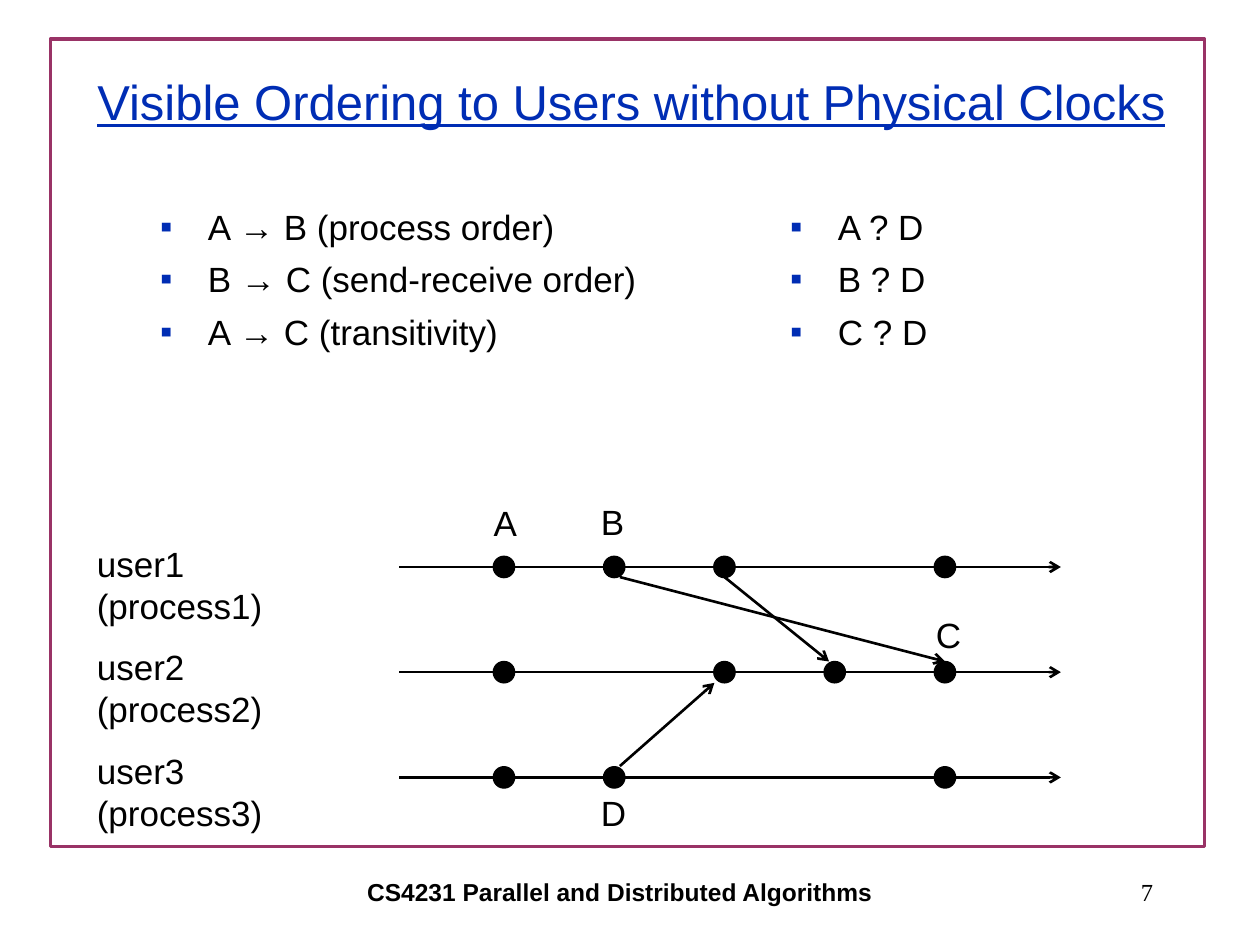
"""Build the slide on visible event ordering between three processes."""
from lxml.etree import SubElement
from pptx import Presentation
from pptx.dml.color import RGBColor
from pptx.enum.shapes import MSO_CONNECTOR, MSO_SHAPE
from pptx.enum.text import MSO_ANCHOR, MSO_AUTO_SIZE, PP_ALIGN
from pptx.oxml.ns import qn
from pptx.util import Inches, Pt

BLACK, BLUE, PLUM = "000000", "002DB4", "993366"
TITLE = "Visible Ordering to Users without Physical Clocks"
LISTS = [
    ((1.17, 1.58, 4.17, 1.42),
     ["A → B (process order)", "B → C (send-receive order)", "A → C (transitivity)"]),
    ((6.17, 1.58, 3.17, 1.42), ["A ? D", "B ? D", "C ? D"]),
]
PROCESSES = [
    ("user1\v(process1)", 4.26, [0, 1, 2, 4]),
    ("user2\v(process2)", 5.07, [0, 2, 3, 4]),
    ("user3\v(process3)", 5.9, [0, 1, 4]),
]
MESSAGES = [
    ((4.92, 4.58), (7.5, 5.25)),
    ((5.75, 4.58), (6.58, 5.25)),
    ((4.92, 6.08), (5.67, 5.42)),
]
EVENT_LABELS = [("A", 3.82, 3.93), ("B", 4.67, 3.92), ("C", 7.33, 4.82), ("D", 4.67, 6.23)]
FIRST_EVENT, EVENT_STEP = 4.0, 0.875
FIRST_ROW, ROW_STEP = 4.5, 0.835
TIME_START, TIME_END = 3.17, 8.42
DOT = 0.17


def color(value):
    return RGBColor.from_string(value)


def place(shape, box):
    shape.left, shape.top, shape.width, shape.height = map(Inches, box)


def write(shape, lines, size=20, font="Arial", fill=BLACK, align=PP_ALIGN.LEFT,
          anchor=MSO_ANCHOR.TOP, wrap=True, spaced=True, bullet=False, **style):
    frame = shape.text_frame
    frame.text = "\n".join(lines)
    frame.word_wrap, frame.vertical_anchor = wrap, anchor
    frame.auto_size = MSO_AUTO_SIZE.NONE
    for paragraph in frame.paragraphs:
        paragraph.alignment = align
        properties = paragraph._p.get_or_add_pPr()
        if spaced:
            spacing = SubElement(properties, qn("a:spcBef"))
            SubElement(spacing, qn("a:spcPct"), val="30000")
        if bullet:
            properties.set("marL", str(Inches(0.38)))
            properties.set("indent", str(Inches(-0.38)))
            bullet_color = SubElement(properties, qn("a:buClr"))
            SubElement(bullet_color, qn("a:srgbClr"), val=BLUE)
            SubElement(properties, qn("a:buFont"), typeface="Arial")
            SubElement(properties, qn("a:buChar"), char="▪")
        for run in paragraph.runs:
            run.font.size, run.font.name = Pt(size), font
            run.font.color.rgb = color(fill)
            for name, value in style.items():
                setattr(run.font, name, value)


def add_text(slide, box, text, **options):
    write(slide.shapes.add_textbox(*map(Inches, box)), [text], **options)


def add_arrow(slide, start, end):
    arrow = slide.shapes.add_connector(MSO_CONNECTOR.STRAIGHT, *map(Inches, (*start, *end)))
    arrow.line.color.rgb, arrow.line.width = color(BLACK), Pt(1.5)
    SubElement(arrow.line._get_or_add_ln(), qn("a:tailEnd"), type="arrow")
    SubElement(arrow._element.spPr, qn("a:effectLst"))


def add_shape(slide, kind, box, line, width, fill=None):
    shape = slide.shapes.add_shape(kind, *map(Inches, box))
    shape.shadow.inherit = False
    shape.line.color.rgb, shape.line.width = color(line), Pt(width)
    if fill:
        shape.fill.solid()
        shape.fill.fore_color.rgb = color(fill)
    else:
        shape.fill.background()


presentation = Presentation()
presentation.slide_width, presentation.slide_height = Inches(10), Inches(7.5)
slide = presentation.slides.add_slide(presentation.slide_layouts[3])
title, *bodies = slide.placeholders

place(title, (0.58, 0.34, 8.86, 0.92))
write(title, [TITLE], size=28, fill=BLUE, align=PP_ALIGN.CENTER,
      anchor=MSO_ANCHOR.MIDDLE, spaced=False, underline=True)
for body, (box, lines) in zip(bodies, LISTS):
    place(body, box)
    write(body, lines, bullet=True)

add_shape(slide, MSO_SHAPE.RECTANGLE, (0.4, 0.31, 9.16, 6.41), PLUM, 2)
add_text(slide, (1.42, 6.83, 7, 0.5), "CS4231 Parallel and Distributed Algorithms", size=14,
         align=PP_ALIGN.CENTER, anchor=MSO_ANCHOR.MIDDLE, spaced=False, bold=True)
add_text(slide, (7.17, 6.83, 2.08, 0.5), "7", size=14, font="Times New Roman",
         align=PP_ALIGN.RIGHT, anchor=MSO_ANCHOR.MIDDLE, spaced=False)

for row, (label, label_top, events) in enumerate(PROCESSES):
    y = FIRST_ROW + row * ROW_STEP
    add_text(slide, (0.67, label_top, 2.28, 0.43), label)
    add_arrow(slide, (TIME_START, y), (TIME_END, y))
    for event in events:
        x = FIRST_EVENT + event * EVENT_STEP
        add_shape(slide, MSO_SHAPE.OVAL, (x - DOT / 2, y - DOT / 2, DOT, DOT),
                  BLACK, 0.75, BLACK)
for start, end in MESSAGES:
    add_arrow(slide, start, end)
for label, left, top in EVENT_LABELS:
    add_text(slide, (left, top, 0.4, 0.43), label, wrap=False)

presentation.save("out.pptx")
